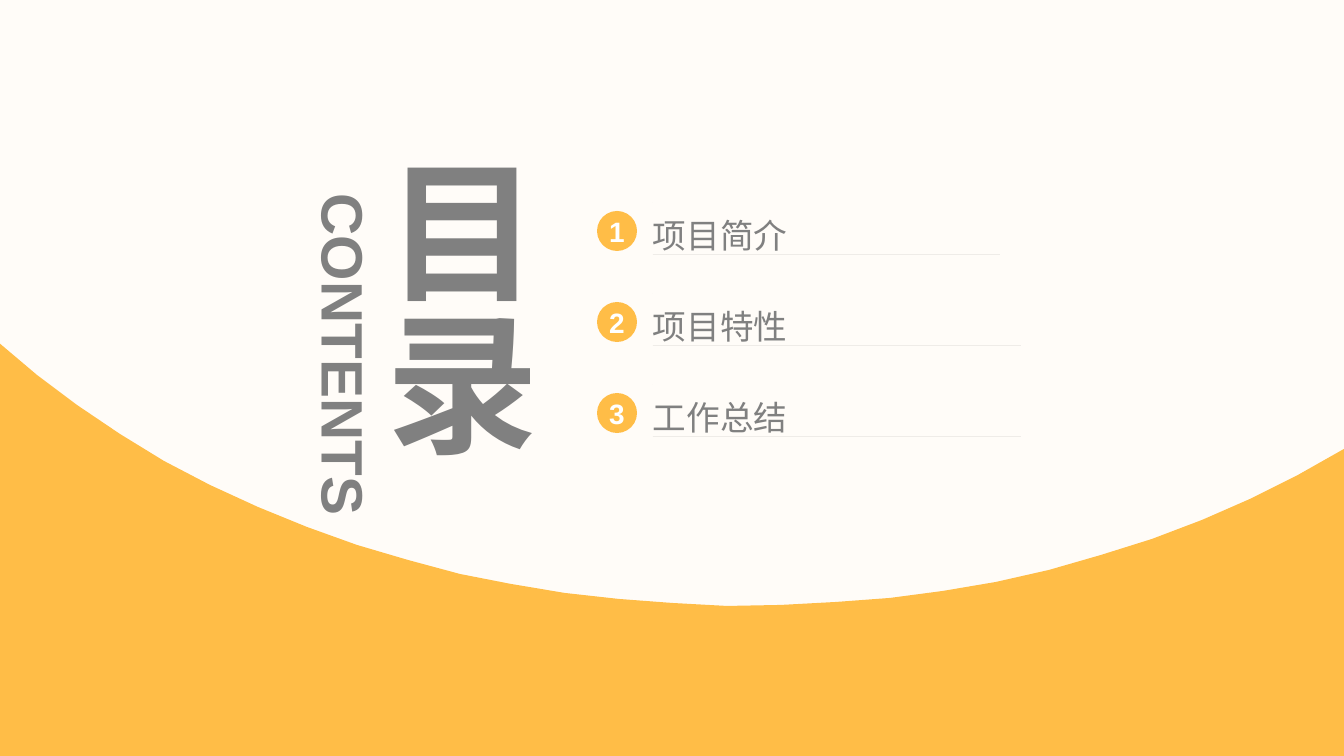
from dataclasses import dataclass

from lxml import etree
from pptx import Presentation
from pptx.dml.color import RGBColor
from pptx.enum.shapes import MSO_SHAPE
from pptx.enum.text import MSO_ANCHOR, PP_ALIGN
from pptx.oxml.ns import qn
from pptx.util import Pt

SCALE = 9565
WIDTH, HEIGHT = 1344, 756
FONT = "Arial"
CREAM, ORANGE, GRAY, WHITE = "FFFCF8", "FFBD47", "808080", "FFFFFF"
OVAL = MSO_SHAPE.OVAL
TOP, MIDDLE = MSO_ANCHOR.TOP, MSO_ANCHOR.MIDDLE
LEFT, CENTER = PP_ALIGN.LEFT, PP_ALIGN.CENTER

ROW_TOP, ROW_PITCH, ROW_HEIGHT = 203, 91, 52
BADGE_LEFT, BADGE_SIZE, BADGE_OFFSET = 597, 40, 8
ITEM_LEFT = 653

WAVE = [
    (-2, 342), (37, 375), (77, 405), (120, 434), (164, 461), (210, 485), (258, 507),
    (307, 527), (357, 545), (408, 560), (460, 574), (511, 584), (565, 593), (619, 599),
    (672, 603), (727, 606), (781, 605), (836, 602), (890, 598), (943, 591), (996, 582),
    (1049, 570), (1101, 555), (1152, 539), (1202, 520), (1250, 499), (1298, 475),
    (WIDTH, 449), (WIDTH, HEIGHT), (-2, HEIGHT),
]


@dataclass
class Item:
    title: str
    line_end: int


ITEMS = [Item("项目简介", 1000), Item("项目特性", 1021), Item("工作总结", 1021)]


def px(n: float) -> int:
    return round(n * SCALE)


def rgb(color: str) -> RGBColor:
    return RGBColor.from_string(color)


def paint(sp, color: str) -> None:
    sp.shadow.inherit = False
    sp.fill.solid()
    sp.fill.fore_color.rgb = rgb(color)
    sp.line.fill.background()


def write(sp, text: str, size: float, color: str, bold: bool = False,
          align=CENTER, anchor=MIDDLE, spacing: float = 1.0, wrap: bool = False) -> None:
    tf = sp.text_frame
    tf.margin_left = tf.margin_top = tf.margin_right = tf.margin_bottom = 0
    tf.word_wrap = wrap
    tf.vertical_anchor = anchor
    p = tf.paragraphs[0]
    p.alignment = align
    p.line_spacing = spacing
    r = p.add_run()
    r.text = text
    r.font.name = FONT
    r.font.size = Pt(size)
    r.font.bold = bold
    r.font.color.rgb = rgb(color)
    etree.SubElement(r.font._element, qn("a:ea")).set("typeface", FONT)


def add_box(left: int, top: int, width: int, height: int):
    return shapes.add_textbox(px(left), px(top), px(width), px(height))


def add_item(number: int, item: Item) -> None:
    top = ROW_TOP + (number - 1) * ROW_PITCH
    bottom = top + ROW_HEIGHT
    badge = shapes.add_shape(OVAL, px(BADGE_LEFT), px(top + BADGE_OFFSET),
                             px(BADGE_SIZE), px(BADGE_SIZE))
    paint(badge, ORANGE)
    write(badge, str(number), 21.1, WHITE, bold=True)

    builder = shapes.build_freeform(ITEM_LEFT, bottom, scale=SCALE)
    builder.add_line_segments([(item.line_end, bottom), (ITEM_LEFT, bottom)], close=True)
    builder.move_to(ITEM_LEFT, top)
    builder.add_line_segments([(ITEM_LEFT, top)], close=True)
    title = builder.convert_to_shape()
    paint(title, GRAY)
    write(title, item.title, 25.3, GRAY, align=LEFT, spacing=1.3, wrap=True)


prs = Presentation()
prs.slide_width, prs.slide_height = px(WIDTH), px(HEIGHT)
slide = prs.slides.add_slide(prs.slide_layouts[6])
shapes = slide.shapes
slide.background.fill.solid()
slide.background.fill.fore_color.rgb = rgb(CREAM)

heading = add_box(365, 155, 185, 310)
write(heading, "目录", 115, GRAY, bold=True)
heading.text_frame._txBody.bodyPr.set("vert", "eaVert")

subtitle = add_box(172, 319, 345, 71)
subtitle.rotation = 90
write(subtitle, "CONTENTS", 44, GRAY, bold=True, anchor=TOP)

for number, item in enumerate(ITEMS, 1):
    add_item(number, item)

builder = shapes.build_freeform(*WAVE[0], scale=SCALE)
builder.add_line_segments(WAVE[1:], close=True)
paint(builder.convert_to_shape(), ORANGE)

prs.save("out.pptx")
